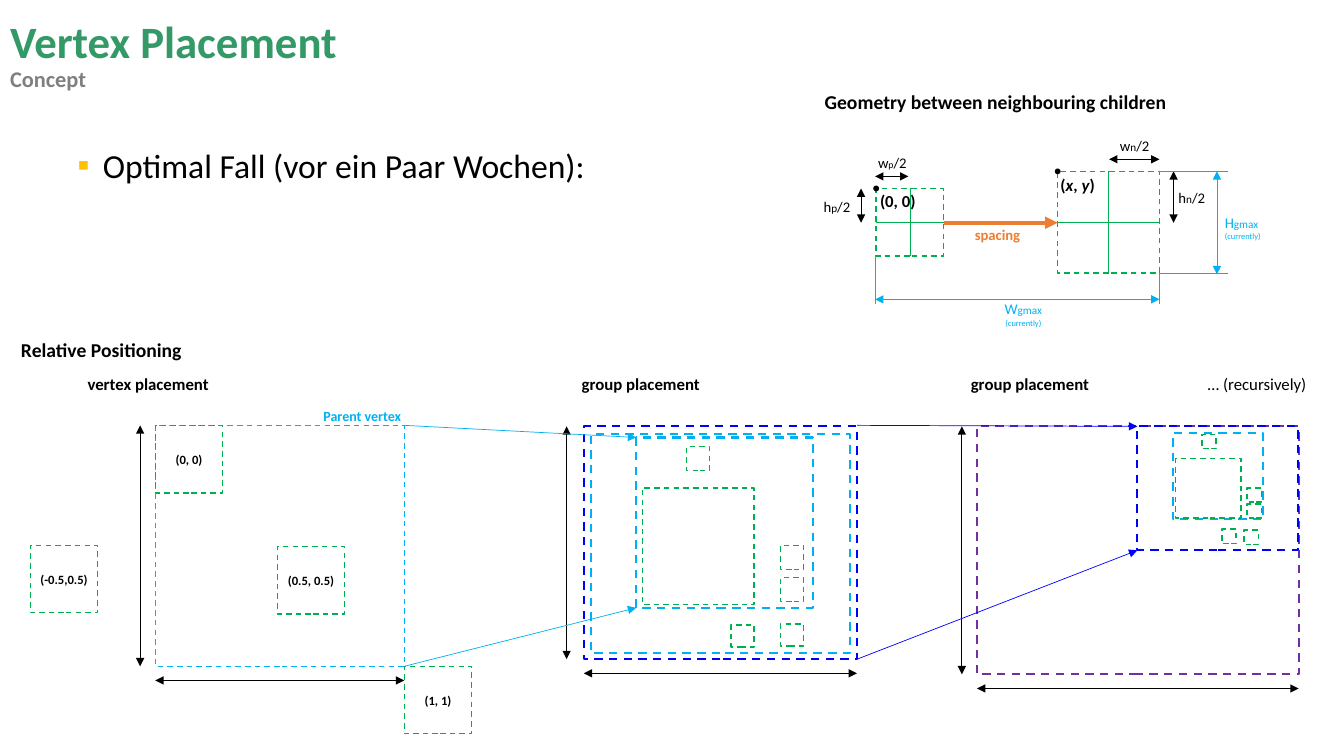
from pptx import Presentation
from pptx.dml.color import RGBColor
from pptx.enum.dml import MSO_LINE
from pptx.enum.shapes import MSO_CONNECTOR, MSO_SHAPE
from pptx.enum.text import MSO_ANCHOR, MSO_AUTO_SIZE, PP_ALIGN
from pptx.oxml.ns import qn
from pptx.util import Cm, Pt
from lxml.etree import SubElement

BLACK = RGBColor(0x00, 0x00, 0x00)
GREY = RGBColor(0x80, 0x80, 0x80)
TITLE_GREEN = RGBColor(0x33, 0x99, 0x66)
GREEN = RGBColor(0x00, 0xB0, 0x50)
SKY = RGBColor(0x00, 0xB0, 0xF0)
BLUE = RGBColor(0x00, 0x00, 0xFF)
PURPLE = RGBColor(0x70, 0x30, 0xA0)
ORANGE = RGBColor(0xED, 0x7D, 0x31)
BULLET_COLOR = "FFC000"
FONT = "Calibri"

# ---- Content: places are in inches, converted by length() ----
TITLE = [("Vertex Placement", dict(size=32, bold=True, color=TITLE_GREEN)),
         ("Concept", dict(size=16, bold=True, color=GREY))]
BULLET_TEXT = "Optimal Fall (vor ein Paar Wochen):"

# Panels: frame (left, top, width, height), frame colour, line width, x of height arrow
PANELS = [
    ((1.54, 4.22, 2.47, 2.39), SKY, 1, 1.39),
    ((5.79, 4.23, 2.71, 2.31), BLUE, 1.5, 5.62),
    ((9.69, 4.23, 3.19, 2.46), PURPLE, 1.5, 9.54),
]
WIDTH_ARROW_GAP = 0.14

# Vertices placed relative to the parent: left, top, label
VERTEX_SIDE = 0.67
VERTICES = [(1.54, 4.22, "(0, 0)"), (0.3, 5.41, "(-0.5,0.5)"),
            (4.01, 6.61, "(1, 1)"), (2.75, 5.42, "(0.5, 0.5)")]

# Nested groups and their children
GROUPS = [
    ((6.31, 4.34, 1.75, 1.69), SKY), ((5.86, 4.31, 2.57, 2.17), SKY),
    ((11.63, 4.3, 0.9, 0.85), SKY), ((11.28, 4.23, 1.59, 1.23), BLUE),
]
CHILDREN = [
    (6.37, 4.84, 1.11, 1.16), (6.81, 4.43, 0.23, 0.24), (7.74, 5.73, 0.23, 0.24),
    (7.74, 5.41, 0.23, 0.24), (7.74, 6.19, 0.23, 0.22), (7.25, 6.2, 0.23, 0.22),
    (11.66, 4.55, 0.65, 0.59), (12.34, 5.26, 0.14, 0.14), (12.12, 5.25, 0.14, 0.14),
    (11.92, 4.31, 0.14, 0.14), (12.37, 5, 0.14, 0.14), (12.37, 4.84, 0.14, 0.14),
]

# Neighbouring children: left, top, side
NEIGHBOURS = [(8.69, 1.87, 0.67), (10.49, 1.7, 1.01)]
DOT = 0.05

# Lines: x1, y1, x2, y2, colour, width, number of arrowheads
LINES = [
    (4.01, 4.22, 6.31, 4.34, SKY, 0.5, 1), (4.01, 6.61, 6.31, 6.03, SKY, 0.5, 1),
    (8.5, 4.22, 11.28, 4.23, BLUE, 0.5, 1), (8.5, 6.54, 11.28, 5.46, BLUE, 0.5, 1),
    (9.36, 2.21, 10.49, 2.21, ORANGE, 3, 1),
    (8.54, 1.87, 8.54, 2.21, BLACK, 0.5, 2), (8.68, 1.75, 9.01, 1.75, BLACK, 0.5, 2),
    (11.64, 1.7, 11.64, 2.21, BLACK, 0.5, 2), (11, 1.58, 11.5, 1.58, BLACK, 0.5, 2),
    (12.07, 1.7, 12.07, 2.72, SKY, 0.5, 2), (8.68, 2.97, 11.5, 2.97, SKY, 0.5, 2),
    (8.68, 2.54, 8.68, 3.02, SKY, 0.5, 0), (11.5, 2.71, 11.5, 3.02, SKY, 0.5, 0),
    (11.5, 2.71, 12.18, 2.71, SKY, 0.5, 0), (11.5, 1.7, 12.18, 1.7, SKY, 0.5, 0),
]

# Labels: place, alignment, line spacing, spans of (text, format)
NORMAL, SMALL, TINY = dict(size=10.5), dict(size=8), dict(size=7)
BOLD, ITALIC = dict(size=12, bold=True), dict(size=12, bold=True, italic=True)
LIMIT = [("gmax ", dict(size=8, color=SKY)), ("(currently)", dict(size=6, color=SKY))]
SKY_NORMAL = dict(size=10.5, color=SKY)
HEADING = dict(size=14, bold=True)
LEFT, CENTER = PP_ALIGN.LEFT, PP_ALIGN.CENTER
LABELS = [
    ((8.07, 1.91, 0.51, 0.28), LEFT, 1, [("h", NORMAL), ("p", SMALL), ("/2", NORMAL)]),
    ((8.61, 1.48, 0.52, 0.28), LEFT, 1, [("w", NORMAL), ("p", TINY), ("/2", NORMAL)]),
    ((11.01, 1.31, 0.51, 0.28), LEFT, 1, [("w", NORMAL), ("n", SMALL), ("/2", NORMAL)]),
    ((11.59, 1.82, 0.66, 0.28), LEFT, 1, [("h", NORMAL), ("n", SMALL), ("/2", NORMAL)]),
    ((9.57, 2.19, 0.73, 0.28), LEFT, 1, [("spacing", dict(size=10.5, bold=True, color=ORANGE))]),
    ((8.63, 1.84, 0.76, 0.3), LEFT, 1, [("(0, 0)", BOLD)]),
    ((10.42, 1.68, 0.76, 0.3), LEFT, 1,
     [("(", BOLD), ("x", ITALIC), (", ", BOLD), ("y", ITALIC), (")", BOLD)]),
    ((12.05, 2.07, 0.69, 0.38), LEFT, 1, [("H", SKY_NORMAL), *LIMIT]),
    ((9.81, 2.93, 0.68, 0.38), CENTER, 1, [("W", SKY_NORMAL), *LIMIT]),
    ((8.08, 0.87, 3.72, 0.38), LEFT, 0.9, [("Geometry between neighbouring children", HEADING)]),
    ((3.11, 4.01, 0.99, 0.29), LEFT, 0.9,
     [("Parent vertex", dict(size=10, bold=True, color=SKY))]),
]
SECTION_PLACE = (0.11, 3.33, 13.22, 0.8)
SECTION = "Relative Positioning"
COLUMN_HEADS = [(0.66, "vertex placement", BOLD), (5.56, "group placement", BOLD),
                (9.42, "group placement", BOLD), (11.77, "… (recursively)", dict(size=12))]


def length(inches):
    return Cm(inches * 2.54)


def place(shape, area):
    for name, value in zip(("left", "top", "width", "height"), area):
        setattr(shape, name, length(value))


def write(para, text, style):
    span = para.add_run()
    span.text = text
    values = {"name": FONT, "bold": False, "italic": False, **style}
    span.font.color.rgb = values.pop("color", BLACK)
    values["size"] = Pt(values["size"])
    for name, value in values.items():
        setattr(span.font, name, value)


def add_box(area):
    box = page.shapes.add_textbox(*map(length, area))
    box.text_frame.word_wrap = True
    return box.text_frame


def add_frame(area, color, width=1, kind=MSO_SHAPE.RECTANGLE):
    shape = page.shapes.add_shape(kind, *map(length, area))
    shape.shadow.inherit = False
    shape.fill.background()
    shape.line.color.rgb = color
    shape.line.width = Pt(width)
    if kind == MSO_SHAPE.RECTANGLE:
        shape.line.dash_style = MSO_LINE.DASH
    return shape


def add_line(x1, y1, x2, y2, color, width, heads=0):
    line = page.shapes.add_connector(MSO_CONNECTOR.STRAIGHT, *map(length, (x1, y1, x2, y2)))
    line.line.color.rgb = color
    line.line.width = Pt(width)
    outline = line.line._get_or_add_ln()
    for tag in ("a:headEnd", "a:tailEnd")[2 - heads:]:
        SubElement(outline, qn(tag), type="triangle")
    SubElement(line._element.spPr, qn("a:effectLst"))


deck = Presentation()
deck.slide_width, deck.slide_height = length(13.33), length(7.5)
page = deck.slides.add_slide(deck.slide_layouts[1])

# Title and subtitle
title = page.shapes.title
place(title, (0, 0.02, 13.33, 1.08))
title.text_frame.auto_size = MSO_AUTO_SIZE.NONE
title.text_frame.vertical_anchor = MSO_ANCHOR.MIDDLE
para = title.text_frame.paragraphs[0]
para.alignment, para.line_spacing = LEFT, 0.9
for number, (text, style) in enumerate(TITLE):
    if number:
        para.add_line_break()
    write(para, text, style)

# Bullet list
body = page.placeholders[1]
place(body, (0.67, 1.43, 11.98, 5.92))
body.text_frame.auto_size = MSO_AUTO_SIZE.NONE
para = body.text_frame.paragraphs[0]
para.alignment, para.line_spacing, para.space_before = LEFT, 0.9, Pt(0)
properties = para._p.get_or_add_pPr()
properties.set("marL", str(length(0.25)))
properties.set("indent", str(-length(0.25)))
SubElement(SubElement(properties, qn("a:buClr")), qn("a:srgbClr"), val=BULLET_COLOR)
SubElement(properties, qn("a:buFont"), typeface=FONT)
SubElement(properties, qn("a:buChar"), char="▪")
write(para, BULLET_TEXT, dict(size=24))

# Panels with their dimension arrows
for (left, top, width, height), color, weight, arrow_x in PANELS:
    add_frame((left, top, width, height), color, weight)
    bottom = top + height
    arrow_y = bottom + WIDTH_ARROW_GAP
    add_line(arrow_x, top, arrow_x, bottom, BLACK, 0.5, 2)
    add_line(left, arrow_y, left + width, arrow_y, BLACK, 0.5, 2)

# Vertices, groups and children
for left, top, text in VERTICES:
    frame = add_frame((left, top, VERTEX_SIDE, VERTEX_SIDE), GREEN).text_frame
    frame.margin_left = frame.margin_right = 0
    frame.vertical_anchor = MSO_ANCHOR.MIDDLE
    frame.paragraphs[0].alignment = CENTER
    write(frame.paragraphs[0], text, dict(size=9, bold=True))
for area, color in GROUPS:
    add_frame(area, color, 1.5)
for area in CHILDREN:
    add_frame(area, GREEN)

# Neighbouring children with centre lines and corner dots
for left, top, side in NEIGHBOURS:
    add_frame((left, top, side, side), GREEN)
    middle_x, middle_y = left + side / 2, top + side / 2
    add_line(middle_x, top, middle_x, top + side, GREEN, 0.5)
    add_line(left, middle_y, left + side, middle_y, GREEN, 0.5)
    dot = add_frame((left - DOT / 2, top - DOT / 2, DOT, DOT), BLACK, 0.5, MSO_SHAPE.OVAL)
    dot.fill.solid()
    dot.fill.fore_color.rgb = BLACK

for line in LINES:
    add_line(*line)

# Labels
for area, alignment, spacing, spans in LABELS:
    frame = add_box(area)
    if alignment == LEFT:
        frame.margin_right = 0
    para = frame.paragraphs[0]
    para.alignment, para.line_spacing = alignment, spacing
    for text, style in spans:
        write(para, text, style)

# Section heading and column heads on tab stops
frame = add_box(SECTION_PLACE)
para = frame.paragraphs[0]
para.line_spacing = 0.9
write(para, SECTION, HEADING)
para = frame.add_paragraph()
para.line_spacing, para.space_before = 0.9, Pt(10)
stops = SubElement(para._p.get_or_add_pPr(), qn("a:tabLst"))
for position, text, style in COLUMN_HEADS:
    SubElement(stops, qn("a:tab"), pos=str(length(position)), algn="l")
    write(para, "\t" + text, style)

deck.save("out.pptx")
